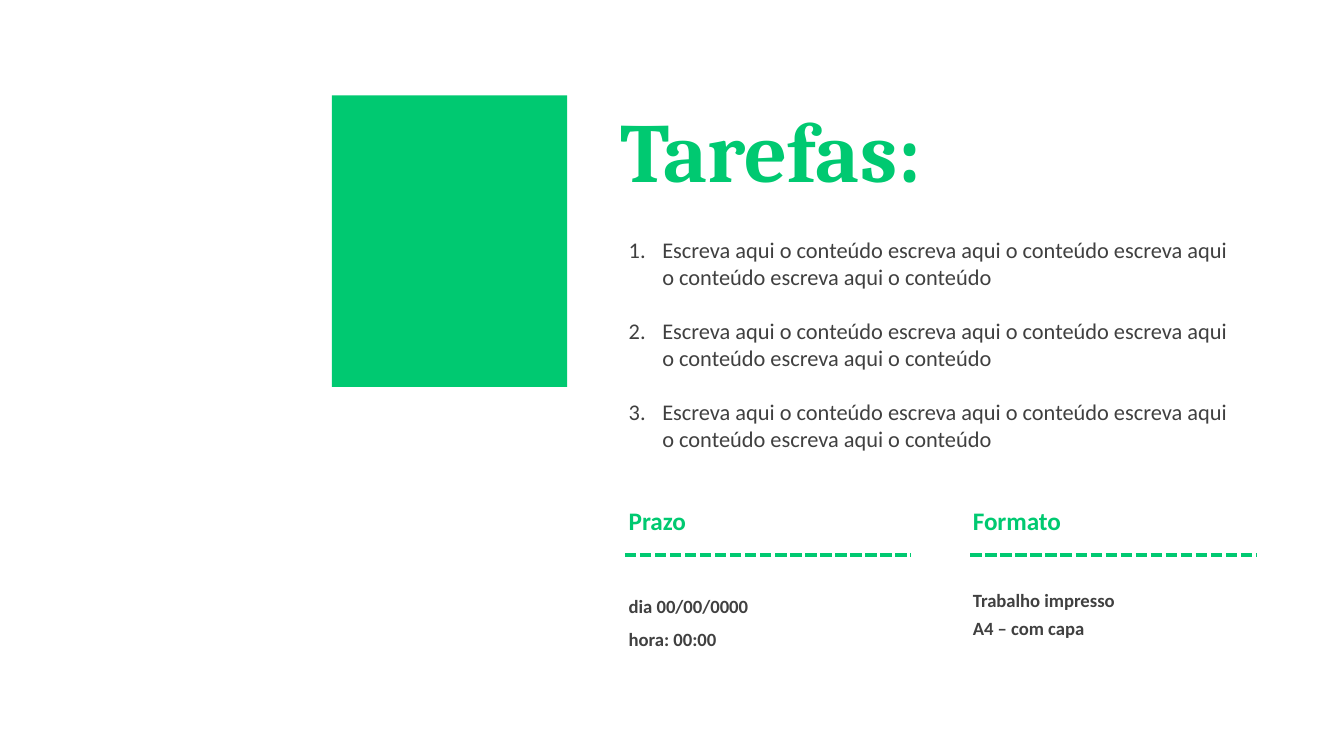
from lxml import etree
from pptx import Presentation
from pptx.dml.color import RGBColor
from pptx.enum.dml import MSO_LINE
from pptx.enum.shapes import MSO_CONNECTOR, MSO_SHAPE
from pptx.enum.text import MSO_ANCHOR, MSO_AUTO_SIZE, PP_ALIGN
from pptx.oxml.ns import qn
from pptx.util import Inches, Pt

RECTANGLE = MSO_SHAPE.RECTANGLE
STRAIGHT = MSO_CONNECTOR.STRAIGHT
DASH = MSO_LINE.SQUARE_DOT
SHORT_DASH = "sysDash"
TOP = MSO_ANCHOR.TOP
LEFT = PP_ALIGN.LEFT
NO_AUTOFIT = MSO_AUTO_SIZE.NONE
TITLE_ONLY = 5


def color(value):
    return RGBColor.from_string(value)


class TaskSlide:
    green = "00C971"
    gray = "404040"
    heading_font = "Cambria"
    body_font = "Calibri"

    def __init__(self, presentation):
        layout = presentation.slide_layouts[TITLE_ONLY]
        self.slide = presentation.slides.add_slide(layout)

    def add_run(self, paragraph, text, size, font, fill, bold):
        run = paragraph.add_run()
        run.text = text
        run.font.name = font
        run.font.size = Pt(size)
        run.font.bold = bold
        run.font.color.rgb = color(fill)

    def title(self, text, left, top, width, height):
        shape = self.slide.shapes.title
        shape.left, shape.top = Inches(left), Inches(top)
        shape.width, shape.height = Inches(width), Inches(height)
        frame = shape.text_frame
        frame.auto_size = NO_AUTOFIT
        frame.word_wrap = False
        frame.vertical_anchor = TOP
        paragraph = frame.paragraphs[0]
        paragraph.alignment = LEFT
        self.add_run(paragraph, text, 45, self.heading_font, self.green, True)

    def block(self, left, top, width, height):
        shape = self.slide.shapes.add_shape(
            RECTANGLE, Inches(left), Inches(top), Inches(width), Inches(height))
        shape.shadow.inherit = False
        shape.fill.solid()
        shape.fill.fore_color.rgb = color(self.green)
        shape.line.fill.background()

    def text(self, lines, left, top, width, height, size=10, fill=gray,
             bold=True, wrap=False, spacing=1.0):
        shape = self.slide.shapes.add_textbox(
            Inches(left), Inches(top), Inches(width), Inches(height))
        frame = shape.text_frame
        frame.word_wrap = wrap
        for index, line in enumerate(lines):
            paragraph = frame.add_paragraph() if index else frame.paragraphs[0]
            paragraph.alignment = LEFT
            paragraph.line_spacing = spacing
            self.add_run(paragraph, line, size, self.body_font, fill, bold)
        return frame

    def numbered_list(self, items, left, top, width, height):
        frame = self.text(items, left, top, width, height, size=12,
                          bold=False, wrap=True)
        for index, paragraph in enumerate(frame.paragraphs):
            if index:
                paragraph.space_before = Pt(14.6)
            properties = paragraph._p.get_or_add_pPr()
            properties.set("marL", str(Inches(0.25)))
            properties.set("indent", str(-Inches(0.25)))
            etree.SubElement(properties, qn("a:buFont"), typeface="+mj-lt")
            etree.SubElement(properties, qn("a:buAutoNum"), type="arabicPeriod")

    def dashed_line(self, left, top, length):
        line = self.slide.shapes.add_connector(
            STRAIGHT, Inches(left), Inches(top), Inches(left + length), Inches(top))
        line.line.color.rgb = color(self.green)
        line.line.width = Pt(2)
        line.line.dash_style = DASH
        line.line._ln.find(qn("a:prstDash")).set("val", SHORT_DASH)
        etree.SubElement(line._element.spPr, qn("a:effectLst"))


def main():
    presentation = Presentation()
    presentation.slide_width = Inches(10)
    presentation.slide_height = presentation.slide_width * 9 // 16
    page = TaskSlide(presentation)

    page.block(2.47, 0.71, 1.75, 2.17)
    page.title("Tarefas:", 4.52, 0.68, 2.62, 0.86)
    item = " ".join(["Escreva aqui o conteúdo"] + ["escreva aqui o conteúdo"] * 3)
    page.numbered_list([item] * 3, 4.58, 1.71, 4.77, 1.72)

    deadline_left, format_left = 4.58, 7.14
    columns = [("Prazo", deadline_left, 0.7, 4.65),
               ("Formato", format_left, 0.95, 7.22)]
    for heading, left, width, line_left in columns:
        page.text([heading], left, 3.71, width, 0.33, size=13.5, fill=page.green)
        page.dashed_line(line_left, 4.13, 2.13)

    page.text(["dia 00/00/0000", "hora: 00:00"], deadline_left, 4.29, 1.17, 0.58,
              spacing=1.5)
    page.text(["Trabalho impresso"], format_left, 4.33, 1.42, 0.27)
    page.text(["A4 – com capa"], format_left, 4.54, 1.15, 0.27)

    presentation.save("out.pptx")


if __name__ == "__main__":
    main()
